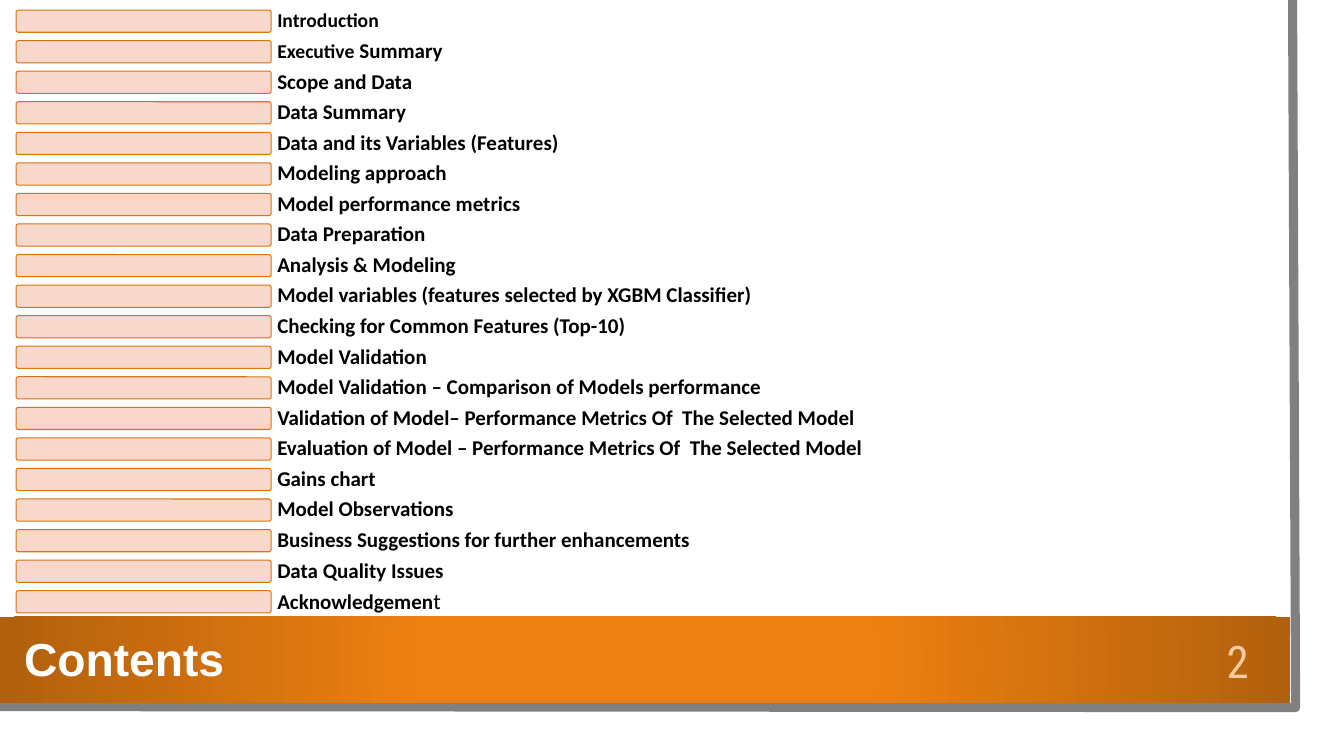
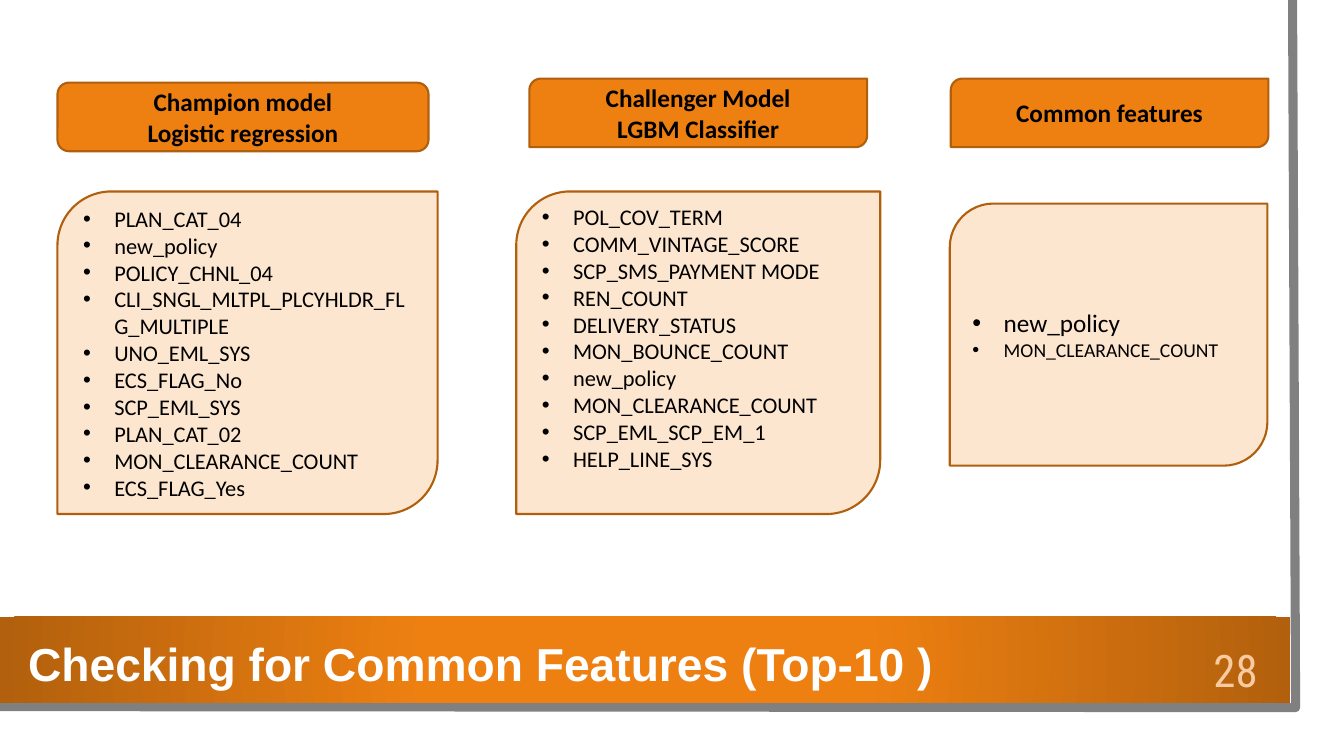
"""Build the contents slide and the common-features slide of a modelling report."""
from lxml.etree import SubElement
from pptx import Presentation
from pptx.dml.color import RGBColor
from pptx.enum.shapes import MSO_SHAPE
from pptx.enum.text import MSO_ANCHOR, PP_ALIGN
from pptx.oxml import parse_xml
from pptx.oxml.ns import nsdecls, qn
from pptx.util import Inches, Pt

COLORS = {
    "orange": "EE8011", "brown": "B2600D", "outline": "B05F0D", "frame": "808080",
    "panel": "FCE6CF", "bar": "F8D8CC", "bar_line": "D8740F",
    "number": "F8CCA0", "title": "FFFFFF", "text": "000000",
}
BODY_FONT, TITLE_FONT, NUMBER_FONT = "Calibri", "Arial", "Roboto Condensed"

CONTENTS = [
    [("Introduction", 14, True)],
    [("Executive", 14, True), (" Summary", 15, True)],
    "Scope and Data",
    "Data Summary",
    "Data and its Variables (Features)",
    "Modeling approach",
    "Model performance metrics",
    "Data Preparation",
    "Analysis & Modeling",
    "Model variables (features selected by XGBM Classifier)",
    "Checking for Common Features (Top-10)",
    "Model Validation",
    "Model Validation – Comparison of Models performance",
    "Validation of Model– Performance Metrics Of  The Selected Model",
    "Evaluation of Model – Performance Metrics Of  The Selected Model",
    "Gains chart",
    "Model Observations",
    "Business Suggestions for further enhancements",
    "Data Quality Issues",
    [("Acknowledgemen", 15, True), ("t", 16, False)],
]
FIRST_BAR, LAST_BAR, BAR_HEIGHT = 0.1, 5.86, 0.22

MODELS = [
    {"heading": ["Champion model", "Logistic regression"],
     "heading_shape": MSO_SHAPE.ROUNDED_RECTANGLE, "heading_box": (0.57, 0.82, 3.68, 0.68),
     "panel_box": (0.57, 1.9, 3.77, 3.2), "sizes": [16] * 10, "bottom": 0.05,
     "features": ["PLAN_CAT_04", "new_policy", "POLICY_CHNL_04",
                  "CLI_SNGL_MLTPL_PLCYHLDR_FLG_MULTIPLE", "UNO_EML_SYS", "ECS_FLAG_No",
                  "SCP_EML_SYS", "PLAN_CAT_02", "MON_CLEARANCE_COUNT", "ECS_FLAG_Yes"]},
    {"heading": ["Challenger Model", "LGBM Classifier"],
     "heading_shape": MSO_SHAPE.ROUND_2_DIAG_RECTANGLE, "heading_box": (5.25, 0.78, 3.35, 0.68),
     "panel_box": (5.12, 1.9, 3.61, 3.2), "sizes": [16] * 10, "bottom": 0.35,
     "features": ["POL_COV_TERM", "COMM_VINTAGE_SCORE", "SCP_SMS_PAYMENT MODE", "REN_COUNT",
                  "DELIVERY_STATUS", "MON_BOUNCE_COUNT", "new_policy", "MON_CLEARANCE_COUNT",
                  "SCP_EML_SCP_EM_1", "HELP_LINE_SYS"]},
    {"heading": ["Common features"],
     "heading_shape": MSO_SHAPE.ROUND_2_DIAG_RECTANGLE, "heading_box": (9.43, 0.78, 3.15, 0.68),
     "panel_box": (9.42, 2.02, 3.15, 2.6), "sizes": [18, 14], "bottom": 0.05,
     "features": ["new_policy", "MON_CLEARANCE_COUNT"]},
]


def rgb(name):
    return RGBColor.from_string(COLORS[name])


def add_box(slide, kind, box, fill, line=None, width=1.5):
    shape = slide.shapes.add_shape(kind, *map(Inches, box))
    shape.shadow.inherit = False
    shape.fill.solid()
    shape.fill.fore_color.rgb = rgb(fill)
    if line:
        shape.line.color.rgb = rgb(line)
        shape.line.width = Pt(width)
    else:
        shape.line.fill.background()
    return shape


def write(shape, paragraphs, font=BODY_FONT, color="text", align=PP_ALIGN.LEFT):
    frame = shape.text_frame
    frame.word_wrap = True
    frame.vertical_anchor = MSO_ANCHOR.MIDDLE
    for index, runs in enumerate(paragraphs):
        paragraph = frame.add_paragraph() if index else frame.paragraphs[0]
        paragraph.alignment = align
        for text, size, bold in runs:
            run = paragraph.add_run()
            run.text = text
            run.font.name = font
            run.font.size = Pt(size)
            run.font.bold = bold
            run.font.color.rgb = rgb(color)
    return frame


def add_text(slide, box, runs, **style):
    return write(slide.shapes.add_textbox(*map(Inches, box)), [runs], **style)


def add_bullets(frame):
    for paragraph in frame.paragraphs:
        properties = paragraph._p.get_or_add_pPr()
        properties.set("marL", str(Inches(0.31)))
        properties.set("indent", str(-Inches(0.31)))
        SubElement(properties, qn("a:buFont")).set("typeface", "Arial")
        SubElement(properties, qn("a:buChar")).set("char", "•")


def add_base(deck, title, title_box, number, number_box):
    slide = deck.slides.add_slide(deck.slide_layouts[6])
    builder = slide.shapes.build_freeform(Inches(12.82), 0)
    builder.add_line_segments(
        [(Inches(12.85), Inches(7.02)), (Inches(-0.03), Inches(7.01))], close=False)
    edge = builder.convert_to_shape()
    edge.shadow.inherit = False
    edge.fill.background()
    edge.line.color.rgb = rgb("frame")
    edge.line.width = Pt(6.5)

    band = add_box(slide, MSO_SHAPE.RECTANGLE, (0, 6.12, 12.8, 0.85), "orange")
    solid = band._element.spPr.find(qn("a:solidFill"))
    solid.getparent().replace(solid, parse_xml(
        f'<a:gradFill {nsdecls("a")} rotWithShape="1"><a:gsLst>'
        f'<a:gs pos="34000"><a:srgbClr val="{COLORS["orange"]}"/></a:gs>'
        f'<a:gs pos="100000"><a:srgbClr val="{COLORS["brown"]}"/></a:gs></a:gsLst>'
        '<a:path path="circle"><a:fillToRect l="50000" t="50000" r="50000" b="50000"/>'
        '</a:path></a:gradFill>'))
    add_text(slide, title_box, [(title, 33, True)], font=TITLE_FONT, color="title")
    add_text(slide, number_box, [(number, 32, False)], font=NUMBER_FONT, color="number",
             align=PP_ALIGN.CENTER)
    return slide


def build_contents(deck):
    slide = add_base(deck, "Contents", (0.14, 6.13, 12.61, 0.79),
                     "2", (11.78, 6.28, 0.99, 0.55))
    pitch = (LAST_BAR - FIRST_BAR) / (len(CONTENTS) - 1)
    for row, entry in enumerate(CONTENTS):
        top = FIRST_BAR + row * pitch
        bar = add_box(slide, MSO_SHAPE.ROUNDED_RECTANGLE, (0.16, top, 2.53, BAR_HEIGHT),
                      "bar", "bar_line", 0.75)
        bar.adjustments[0] = 0.1
        runs = [(entry, 15, True)] if isinstance(entry, str) else entry
        frame = add_text(slide, (2.69, top - 0.03, 10.08, BAR_HEIGHT + 0.06), runs)
        frame.margin_left = frame.margin_right = Inches(0.06)
        frame.margin_top = frame.margin_bottom = Inches(0.06)
        frame.paragraphs[0].line_spacing = 0.9


def build_common_features(deck):
    slide = add_base(deck, "Checking for Common Features (Top-10 )", (0.18, 6.25, 11.59, 0.66),
                     "28", (11.76, 6.37, 0.99, 0.55))
    for model in MODELS:
        heading = add_box(slide, model["heading_shape"], model["heading_box"],
                          "orange", "outline")
        write(heading, [[(line, 18, True)] for line in model["heading"]],
              align=PP_ALIGN.CENTER)
        panel = add_box(slide, MSO_SHAPE.ROUND_2_DIAG_RECTANGLE, model["panel_box"],
                        "panel", "outline")
        features = zip(model["features"], model["sizes"])
        frame = write(panel, [[(name, size, False)] for name, size in features])
        frame.margin_bottom = Inches(model["bottom"])
        add_bullets(frame)


def main():
    deck = Presentation()
    deck.slide_width, deck.slide_height = Inches(13.33), Inches(7.5)
    build_contents(deck)
    build_common_features(deck)
    deck.save("out.pptx")


if __name__ == "__main__":
    main()
